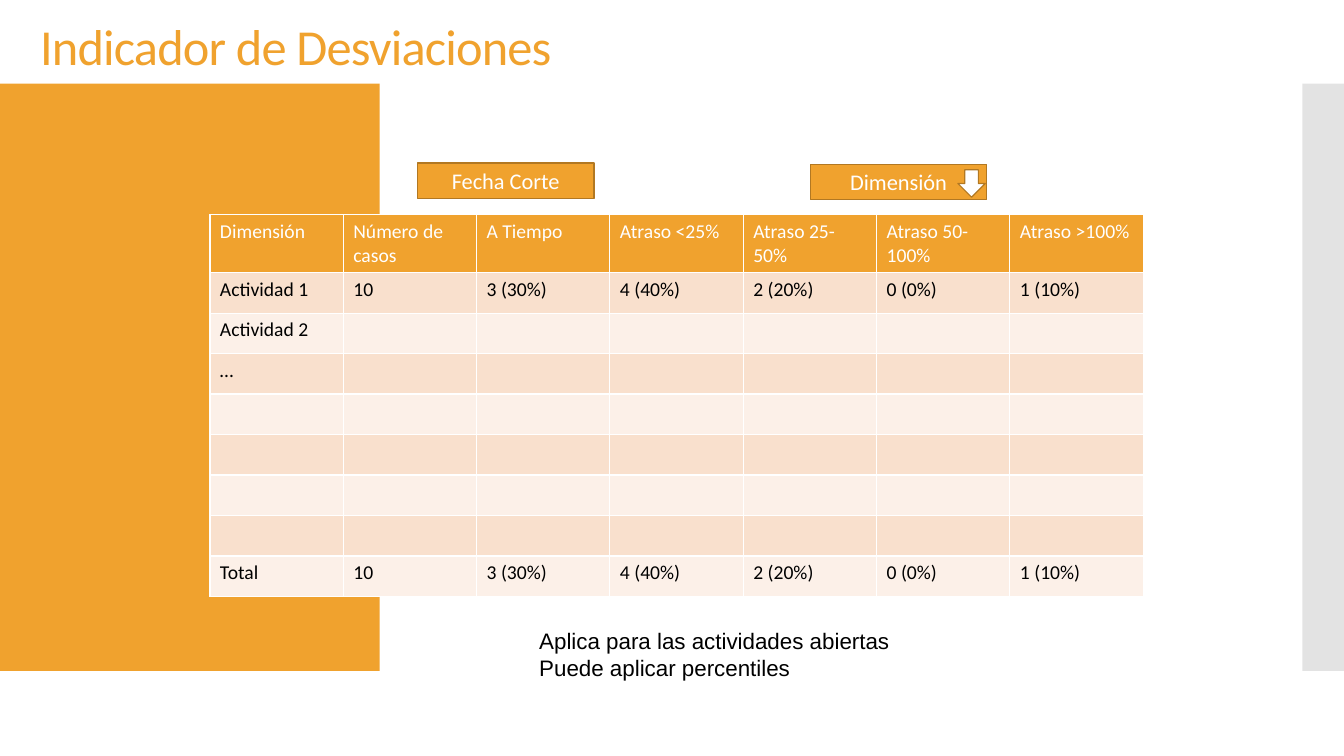
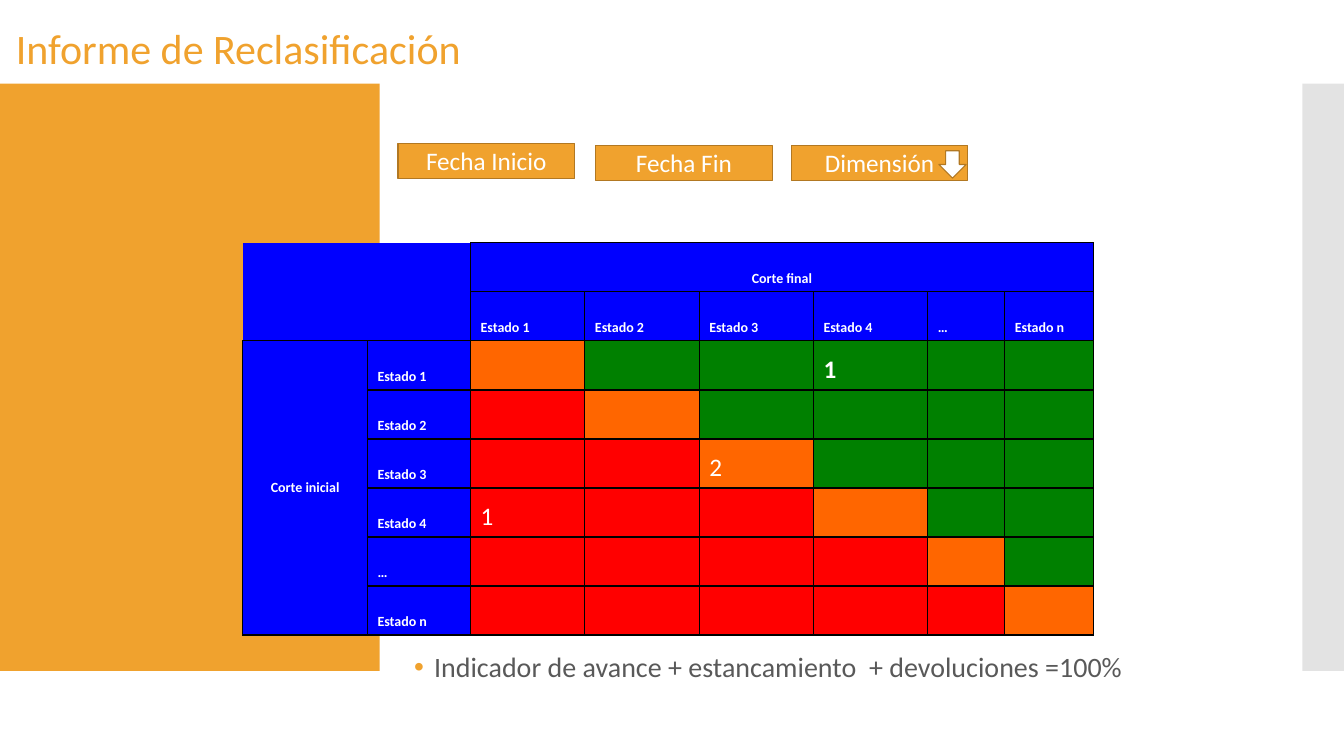
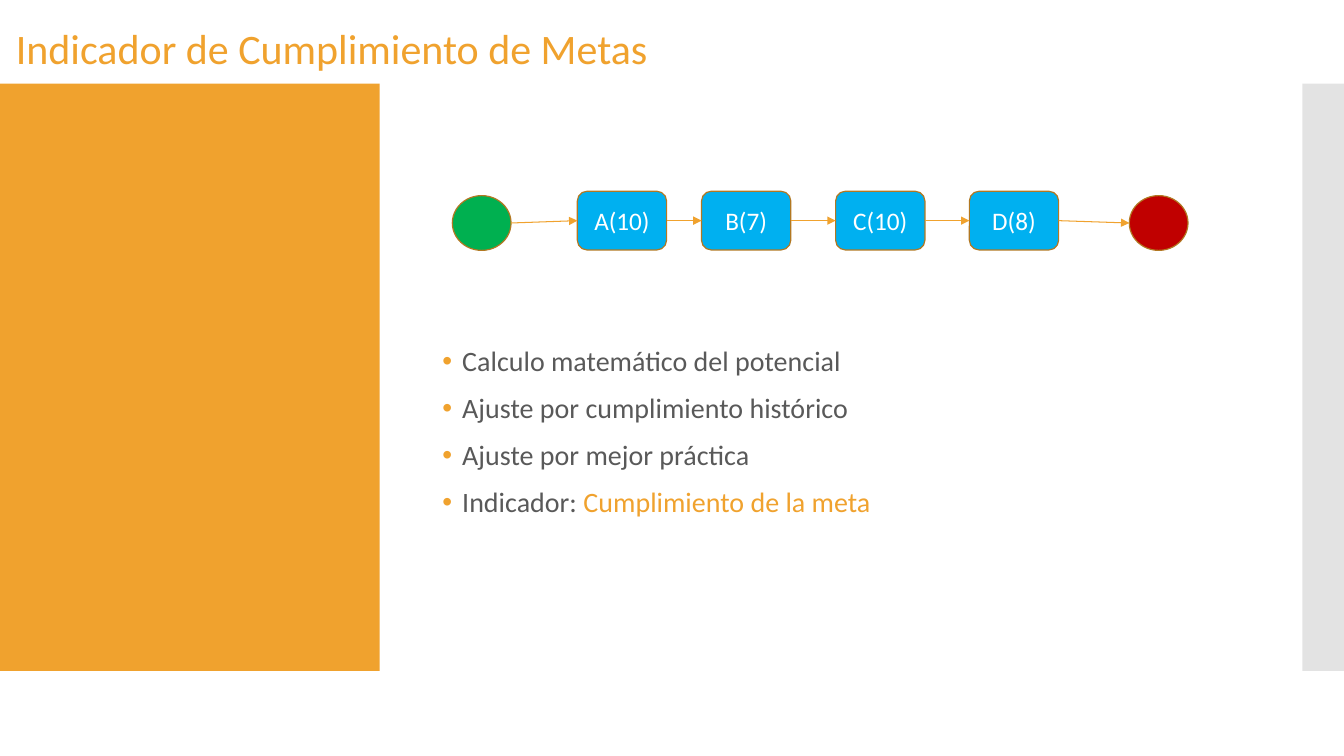
from itertools import pairwise

from lxml import etree
from pptx import Presentation
from pptx.dml.color import RGBColor
from pptx.enum.shapes import MSO_CONNECTOR, MSO_SHAPE
from pptx.enum.text import MSO_ANCHOR, PP_ALIGN
from pptx.oxml.ns import qn
from pptx.util import Cm, Pt

RECTANGLE, ROUNDED = MSO_SHAPE.RECTANGLE, MSO_SHAPE.ROUNDED_RECTANGLE
OVAL, DOWN_ARROW = MSO_SHAPE.OVAL, MSO_SHAPE.DOWN_ARROW
STRAIGHT = MSO_CONNECTOR.STRAIGHT
LEFT, CENTER = PP_ALIGN.LEFT, PP_ALIGN.CENTER
TOP, MIDDLE, BOTTOM = MSO_ANCHOR.TOP, MSO_ANCHOR.MIDDLE, MSO_ANCHOR.BOTTOM

COLOURS = {
    "accent": "F0A22E", "outline": "B27822", "side": "C8C8C8",
    "white": "FFFFFF", "black": "000000", "body": "595959",
    "row_dark": "F9E0CD", "row_light": "FCF0E8",
    "header": "0000FF", "advance": "008000", "stay": "FF6600", "back": "FF0000",
    "start": "00B050", "step": "00B0F0", "end": "C00000",
}

# Content: deviations
DEVIATION_TITLE = "Indicador de Desviaciones"
RESULTS = ["10", "3 (30%)", "4 (40%)", "2 (20%)", "0 (0%)", "1 (10%)"]
DEVIATION_ROWS = [
    ["Dimensión", "Número de casos", "A Tiempo", "Atraso <25%",
     "Atraso 25-50%", "Atraso 50-100%", "Atraso >100%"],
    ["Actividad 1", *RESULTS],
    ["Actividad 2"], ["…"], [], [], [], [],
    ["Total", *RESULTS],
]
DEVIATION_NOTES = ["Aplica para las actividades abiertas", "Puede aplicar percentiles"]
# label, left, top, has a drop-down arrow
DEVIATION_BUTTONS = [("Fecha Corte", 10.52, 4.11, False), ("Dimensión", 20.42, 4.14, True)]

# Content: reclassification
RECLASS_TITLE = "Informe de Reclasificación"
RECLASS_BUTTONS = [("Fecha Inicio", 10.03, 3.61, False), ("Fecha Fin", 15.01, 3.66, False),
                   ("Dimensión", 19.94, 3.66, True)]
STATES = ["Estado 1", "Estado 2", "Estado 3", "Estado 4", "…", "Estado n"]
FINAL_CUT, INITIAL_CUT = "Corte final", "Corte inicial"
MOVES = {(0, 3): "1", (2, 2): "2", (3, 0): "1"}  # (initial state, final state)
BOLD_MOVE = (0, 3)
MATRIX_WIDTHS = [3.14, 2.6, 2.88, 2.88, 2.88, 2.88, 1.94, 2.23]
RECLASS_BULLETS = ["Indicador de avance + estancamiento  + devoluciones =100%"]

# Content: goals
GOAL_TITLE = "Indicador de Cumplimiento de Metas"
STEPS = [("A(10)", 14.55), ("B(7)", 17.68), ("C(10)", 21.06), ("D(8)", 24.43)]
GOAL_BULLETS = ["Calculo matemático del potencial", "Ajuste por cumplimiento histórico",
                "Ajuste por mejor práctica",
                [("Indicador: ", "body"), ("Cumplimiento de la meta", "accent")]]


def rgb(name):
    return RGBColor.from_string(COLOURS[name])


def write(frame, lines, size, colour, align=LEFT, anchor=TOP, bold=False, font="Calibri"):
    """Each line is a string or a list of (text, colour) runs."""
    frame.word_wrap = True
    frame.vertical_anchor = anchor
    for index, line in enumerate(lines):
        paragraph = frame.paragraphs[0] if index == 0 else frame.add_paragraph()
        paragraph.alignment = align
        paragraph.font.name, paragraph.font.size = font, Pt(size)
        paragraph.font.bold = bold
        for text, run_colour in [(line, colour)] if isinstance(line, str) else line:
            run = paragraph.add_run()
            run.text = text
            run.font.color.rgb = rgb(run_colour)


def add_text(slide, box, lines, size, colour, **style):
    frame = slide.shapes.add_textbox(*map(Cm, box)).text_frame
    write(frame, lines, size, colour, **style)
    return frame


def add_box(slide, kind, box, fill, outline="outline", label=None, size=18):
    shape = slide.shapes.add_shape(kind, *map(Cm, box))
    shape.shadow.inherit = False
    shape.fill.solid()
    shape.fill.fore_color.rgb = rgb(fill)
    if outline:
        shape.line.color.rgb = rgb(outline)
        shape.line.width = Pt(0.85)
    else:
        shape.line.fill.background()
    if label:
        write(shape.text_frame, [label], size, "white", CENTER, MIDDLE)
    return shape


def add_buttons(slide, buttons, size):
    for label, left, top, drop_down in buttons:
        add_box(slide, RECTANGLE, (left, top, 4.45, 0.89), "accent", label=label, size=size)
        if drop_down:
            add_box(slide, DOWN_ARROW, (left + 3.72, top + 0.14, 0.69, 0.69), "white")


def add_bullets(slide, box, lines):
    frame = add_text(slide, box, lines, 20, "body", anchor=MIDDLE)
    for paragraph in frame.paragraphs:
        paragraph.line_spacing = 0.9
        paragraph.space_before = Pt(12)
        properties = paragraph._p.get_or_add_pPr()
        properties.set("marL", str(Cm(0.5)))
        properties.set("indent", str(-Cm(0.5)))
        bullet = [etree.Element(qn(tag)) for tag in ("a:buClr", "a:buFont", "a:buChar")]
        etree.SubElement(bullet[0], qn("a:srgbClr"), val=COLOURS["accent"])
        bullet[1].set("typeface", "Arial")
        bullet[2].set("char", "•")
        position = len(properties.findall(qn("a:lnSpc")) + properties.findall(qn("a:spcBef")))
        for offset, element in enumerate(bullet):
            properties.insert(position + offset, element)


def add_table(slide, left, top, widths, heights):
    table = slide.shapes.add_table(len(heights), len(widths), Cm(left), Cm(top),
                                   Cm(sum(widths)), sum(heights)).table
    table.first_row = table.horz_banding = False
    for column, width in zip(table.columns, widths):
        column.width = Cm(width)
    for row, height in zip(table.rows, heights):
        row.height = height
    return table


def fill_cell(cell, text, fill, border, sides="LRTB", size=14, colour="white", **style):
    write(cell.text_frame, [text], size, colour, **style)
    cell.vertical_anchor = style.get("anchor", TOP)
    properties = cell._tc.get_or_add_tcPr()
    for side in "LRTB":
        line = etree.SubElement(properties, qn("a:ln" + side), w=str(Pt(1)))
        if side in sides:
            solid = etree.SubElement(line, qn("a:solidFill"))
            etree.SubElement(solid, qn("a:srgbClr"), val=COLOURS[border])
        else:
            etree.SubElement(line, qn("a:noFill"))
    cell.fill.solid()
    cell.fill.fore_color.rgb = rgb(fill)


def add_arrow(slide, source, target):
    connector = slide.shapes.add_connector(
        STRAIGHT, source.left + source.width, source.top + source.height // 2,
        target.left, target.top + target.height // 2)
    connector.line.color.rgb = rgb("accent")
    connector.line.width = Pt(0.75)
    properties = connector._element.spPr
    etree.SubElement(properties.find(qn("a:ln")), qn("a:tailEnd"), type="triangle")
    etree.SubElement(properties, qn("a:effectLst"))


def add_slide(title, box=(0.15, 0.43, 20.09, 1.52), size=30):
    """Blank slide with the two side bands and its title."""
    slide = presentation.slides.add_slide(presentation.slide_layouts[6])
    add_box(slide, RECTANGLE, (0, 2.11, 9.57, 14.8), "accent", outline=None)
    side = add_box(slide, RECTANGLE, (32.82, 2.11, 1.05, 14.8), "side", outline=None)
    side_colour = side._element.spPr.find(qn("a:solidFill")).find(qn("a:srgbClr"))
    etree.SubElement(side_colour, qn("a:alpha"), val="50000")
    frame = add_text(slide, box, [title], size, "accent", anchor=MIDDLE)
    return slide, frame.paragraphs[0]


presentation = Presentation()
presentation.slide_width, presentation.slide_height = Cm(33.87), Cm(19.05)

# Slide 1: deviations table
slide, heading = add_slide(DEVIATION_TITLE, (0.76, 0.3, 23.34, 1.9), 36)
heading.line_spacing = 0.9
heading.runs[0]._r.get_or_add_rPr().set("spc", "-60")
table = add_table(slide, 5.29, 5.41, [3.36] * 7, [Cm(1.46)] + [Cm(1.02)] * 8)
for row, texts in enumerate(DEVIATION_ROWS):
    fill = "accent" if row == 0 else "row_dark" if row % 2 else "row_light"
    for column in range(7):
        text = texts[column] if column < len(texts) else ""
        fill_cell(table.cell(row, column), text, fill, "white",
                  colour="black" if row else "white")
add_text(slide, (13.34, 15.67, 9.6, 1.63), DEVIATION_NOTES, 16, "black", font="Arial")
add_buttons(slide, DEVIATION_BUTTONS, 16)

# Slide 2: reclassification matrix
slide, heading = add_slide(RECLASS_TITLE)
matrix = add_table(slide, 6.12, 6.12, MATRIX_WIDTHS, [Cm(9.88) // 8] * 8)
matrix.cell(0, 2).merge(matrix.cell(0, 7))
matrix.cell(2, 0).merge(matrix.cell(7, 0))
for row in range(8):
    for column in range(8):
        initial, final = row - 2, column - 2
        text, fill, sides = "", "header", "LRTB"
        style = {"size": 10, "bold": True, "anchor": BOTTOM}
        if initial < 0 and final < 0:
            sides = ("R" if column == 1 else "") + ("B" if row == 1 else "")
        elif row == 0:
            text = FINAL_CUT if column == 2 else ""
            style["align"] = CENTER
        elif row == 1:
            text = STATES[final]
        elif column == 0:
            text = INITIAL_CUT if row == 2 else ""
            style.update(align=CENTER, anchor=MIDDLE)
        elif column == 1:
            text = STATES[initial]
        else:
            text = MOVES.get((initial, final), "")
            fill = "stay" if final == initial else "advance" if final > initial else "back"
            style.update(size=18, bold=(initial, final) == BOLD_MOVE)
        fill_cell(matrix.cell(row, column), text, fill, "black", sides, **style)
add_buttons(slide, RECLASS_BUTTONS, 18)
add_bullets(slide, (10.19, 16.05, 21.82, 1.6), RECLASS_BULLETS)

# Slide 3: goal process
slide, heading = add_slide(GOAL_TITLE)
add_bullets(slide, (10.9, 3.81, 20.32, 14.22), GOAL_BULLETS)
process = [add_box(slide, OVAL, (11.4, 4.93, 1.48, 1.38), "start")]
process += [add_box(slide, ROUNDED, (left, 4.82, 2.25, 1.48), "step", label=label)
            for label, left in STEPS]
process.append(add_box(slide, OVAL, (28.46, 4.93, 1.48, 1.38), "end"))
for source, target in pairwise(process):
    add_arrow(slide, source, target)

presentation.save("out.pptx")
